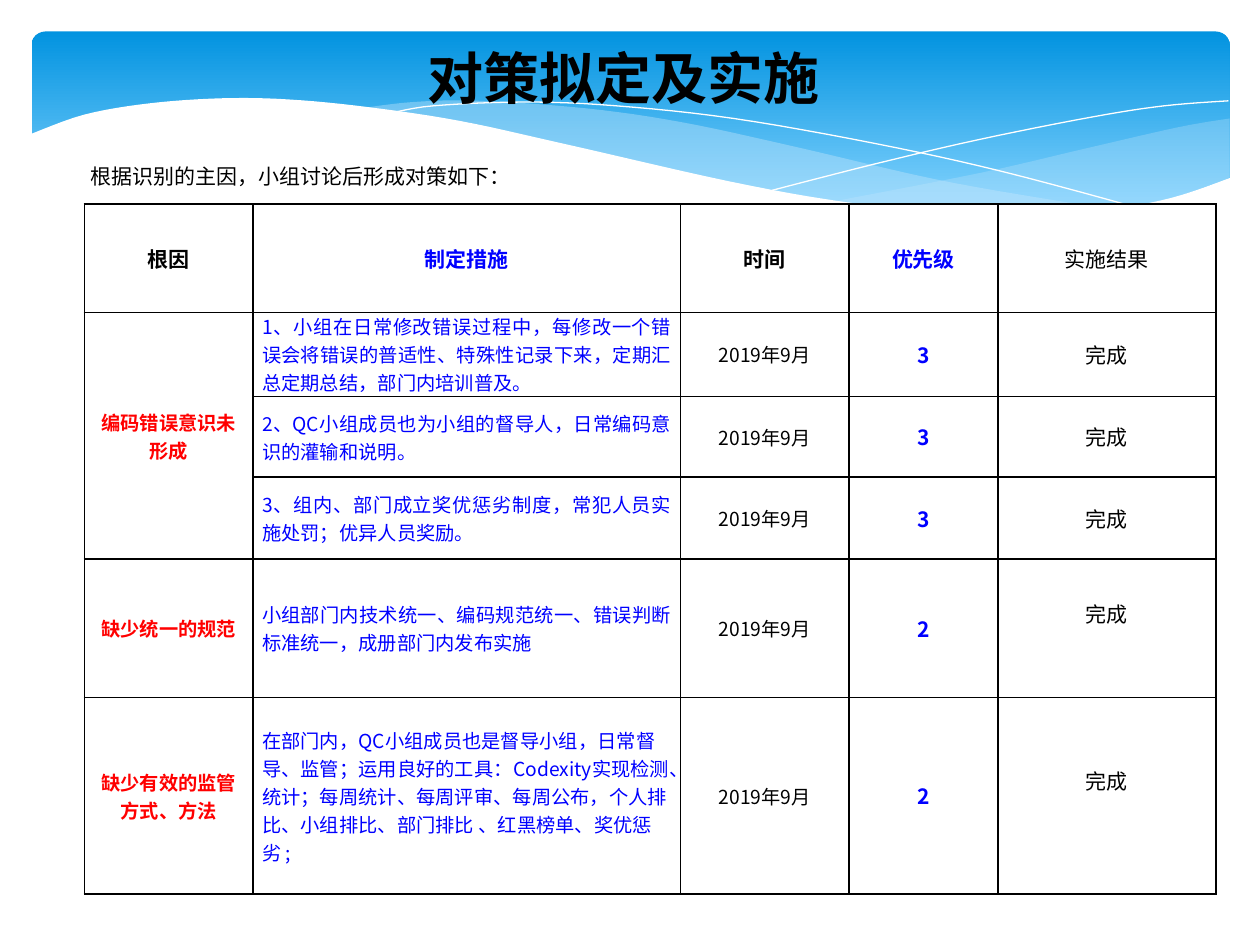
from dataclasses import dataclass
from typing import Optional

from lxml.etree import SubElement
from pptx import Presentation
from pptx.dml.color import RGBColor
from pptx.enum.shapes import MSO_SHAPE as Shape
from pptx.enum.text import MSO_ANCHOR as Anchor, MSO_AUTO_SIZE as AutoSize, PP_ALIGN as Align
from pptx.oxml.ns import qn
from pptx.util import Inches, Pt

Point = tuple[float, float]
Curve = list[Point]


@dataclass(frozen=True)
class Theme:
    font: str = "Noto Sans CJK SC"
    black: str = "000000"
    white: str = "FFFFFF"
    blue: str = "0000FF"
    red: str = "FF0000"
    sky_top: str = "0293E0"
    sky_bottom: str = "83D3FE"
    ribbon: str = "C6E7FC"
    title_size: float = 32
    label_size: float = 12
    body_size: float = 11


@dataclass(frozen=True)
class Wave:
    """An outline made of smooth curves; without a fill it is a hairline."""
    curves: list[Curve]
    fill: Optional[str] = None
    opacity: int = 100


@dataclass(frozen=True)
class Measure:
    cause: str
    action: str
    priority: str
    height: float
    align: Align = Align.JUSTIFY
    result_lift: float = 0


THEME = Theme()
DATE, RESULT = "2019年9月", "完成"
HEADERS = ["根因", "制定措施", "时间", "优先级", "实施结果"]
COLUMN_WIDTHS = [1.34, 3.39, 1.34, 1.18, 1.73]
HEADER_HEIGHT = 0.86
MEASURES = [
    Measure("编码错误意识未形成", "1、小组在日常修改错误过程中，每修改一个错误会将错误的普适性、"
            "特殊性记录下来，定期汇总定期总结，部门内培训普及。", "3", 0.55),
    Measure("", "2、QC小组成员也为小组的督导人，日常编码意识的灌输和说明。", "3", 0.64),
    Measure("", "3、组内、部门成立奖优惩劣制度，常犯人员实施处罚；优异人员奖励。", "3", 0.65),
    Measure("缺少统一的规范", "小组部门内技术统一、编码规范统一、错误判断标准统一，"
            "成册部门内发布实施", "2", 1.1, result_lift=0.24),
    Measure("缺少有效的监管方式、方法", "在部门内，QC小组成员也是督导小组，日常督导、监管；"
            "运用良好的工具：Codexity实现检测、统计；每周统计、每周评审、每周公布，个人排比、"
            "小组排比、部门排比 、红黑榜单、奖优惩劣 ;", "2", 1.56, Align.LEFT, 0.24),
]
WAVES = [
    Wave([[(9.76, 0.94), (9.35, 1.01), (8.61, 1.18), (7.79, 1.37), (6.61, 1.6)],
          [(6.61, 1.6), (7.19, 1.67), (7.81, 1.72), (8.35, 1.72), (8.81, 1.67),
           (9.28, 1.58), (9.76, 1.41)]], THEME.ribbon, 29),
    Wave([[(8.93, 1.67), (8.37, 1.59), (7.41, 1.42), (6.29, 1.16), (5.41, 0.97),
           (4.65, 0.86), (3.8, 0.8), (3.28, 0.81), (2.86, 0.86)],
          [(2.86, 0.86), (3.62, 0.97), (4.49, 1.16), (5.66, 1.43), (6.5, 1.58),
           (7.22, 1.68), (7.85, 1.72), (8.38, 1.72), (8.93, 1.67)]], THEME.ribbon, 40),
    Wave([[(3.09, 0.9), (3.44, 0.84), (4.16, 0.81), (4.89, 0.84), (5.82, 0.94),
           (6.95, 1.14), (7.95, 1.36), (9.07, 1.66)]]),
    Wave([[(6.13, 1.51), (6.95, 1.3), (7.76, 1.11), (8.66, 0.93), (9.24, 0.84),
           (9.75, 0.8)]]),
    Wave([[(9.77, 1.41), (9.3, 1.57), (8.75, 1.67), (8.09, 1.71), (7.44, 1.68),
           (6.68, 1.6), (5.79, 1.44), (4.47, 1.14), (3.65, 0.96), (2.92, 0.85),
           (2.3, 0.79), (1.77, 0.78), (1.19, 0.82), (0.67, 0.91), (0.23, 1.07)],
          [(0.23, 2.24), (9.77, 2.24)]], THEME.white),
]


def color(value: str) -> RGBColor:
    return RGBColor.from_string(value)


def smooth(curve: Curve, steps: int = 6) -> Curve:
    """Catmull-Rom interpolation through the points of a curve."""
    if len(curve) < 3:
        return curve
    padded = [curve[0], *curve, curve[-1]]
    result = [curve[0]]
    for a, b, c, d in zip(padded, padded[1:], padded[2:], padded[3:]):
        for t in (step / steps for step in range(1, steps + 1)):
            result.append(tuple(
                0.5 * (2 * q + (r - p) * t + (2 * p - 5 * q + 4 * r - s) * t ** 2
                       + (3 * q - p - 3 * r + s) * t ** 3)
                for p, q, r, s in zip(a, b, c, d)))
    return result


def draw_wave(page, wave: Wave) -> None:
    points = [(Inches(x), Inches(y)) for curve in wave.curves for x, y in smooth(curve)]
    builder = page.shapes.build_freeform(*points[0])
    builder.add_line_segments(points[1:], close=wave.fill is not None)
    shape = builder.convert_to_shape()
    shape.shadow.inherit = False
    if wave.fill is None:
        shape.fill.background()
        shape.line.color.rgb = color(THEME.white)
        shape.line.width = Pt(0)
        return
    shape.line.fill.background()
    shape.fill.solid()
    shape.fill.fore_color.rgb = color(wave.fill)
    if wave.opacity < 100:
        tint = shape.element.spPr.find(qn("a:solidFill")).find(qn("a:srgbClr"))
        SubElement(tint, qn("a:alpha"), val=str(wave.opacity * 1000))


def draw_banner(page) -> None:
    banner = page.shapes.add_shape(Shape.ROUNDED_RECTANGLE, Inches(0.25), Inches(0.25),
                                   Inches(9.51), Inches(1.56))
    banner.adjustments[0] = 0.071
    banner.shadow.inherit = False
    banner.line.fill.background()
    banner.fill.gradient()
    banner.fill.gradient_angle = 270
    stops = [(0, THEME.sky_top), (0.9, THEME.sky_bottom)]
    for stop, (position, value) in zip(banner.fill.gradient_stops, stops):
        stop.position = position
        stop.color.rgb = color(value)


def write(frame, text: str, *, size: float, ink: str = THEME.black, bold: bool = False,
          align: Align = Align.LEFT, indent: float = 0) -> None:
    para = frame.paragraphs[0]
    para.alignment = align
    if indent:
        para._p.get_or_add_pPr().set("indent", str(Inches(indent)))
    span = para.add_run()
    span.text = text
    span.font.size, span.font.bold, span.font.name = Pt(size), bold, THEME.font
    span.font.color.rgb = color(ink)
    SubElement(span.font._element, qn("a:ea"), typeface=THEME.font)


def format_cell(cell, *, fill: Optional[str] = None, lift: float = 0) -> None:
    cell.vertical_anchor = Anchor.MIDDLE
    cell.margin_left = cell.margin_right = Inches(0.07)
    cell.margin_top, cell.margin_bottom = 0, Inches(lift)
    properties = cell._tc.get_or_add_tcPr()
    for side in ("a:lnL", "a:lnR", "a:lnT", "a:lnB"):
        border = SubElement(properties, qn(side), w=str(Pt(1)))
        SubElement(SubElement(border, qn("a:solidFill")), qn("a:srgbClr"), val=THEME.black)
    if fill:
        cell.fill.solid()
        cell.fill.fore_color.rgb = color(fill)
    else:
        cell.fill.background()


def draw_table(page) -> None:
    heights = [HEADER_HEIGHT] + [measure.height for measure in MEASURES]
    table = page.shapes.add_table(len(heights), len(HEADERS), Inches(0.67), Inches(1.62),
                                  Inches(sum(COLUMN_WIDTHS)), Inches(sum(heights))).table
    table.first_row = table.horz_banding = False
    for column, width in zip(table.columns, COLUMN_WIDTHS):
        column.width = Inches(width)
    for row, height in zip(table.rows, heights):
        row.height = Inches(height)

    # Header row
    for index, header in enumerate(HEADERS):
        cell = table.cell(0, index)
        format_cell(cell, fill=THEME.white)
        write(cell.text_frame, header, size=THEME.label_size, align=Align.CENTER,
              ink=THEME.blue if index in (1, 3) else THEME.black,
              bold=header != HEADERS[-1])

    # One row for each measure
    body, label = THEME.body_size, THEME.label_size
    for number, measure in enumerate(MEASURES, start=1):
        entries = [
            (measure.cause, dict(size=body, ink=THEME.red, bold=True, align=Align.CENTER)),
            (measure.action, dict(size=body, ink=THEME.blue, align=measure.align)),
            (DATE, dict(size=body, align=Align.CENTER)),
            (measure.priority, dict(size=label, ink=THEME.blue, bold=True, align=Align.CENTER)),
            (RESULT, dict(size=label, align=Align.CENTER)),
        ]
        for index, (text, style) in enumerate(entries):
            cell = table.cell(number, index)
            format_cell(cell, lift=measure.result_lift if text == RESULT else 0)
            if text:
                write(cell.text_frame, text, **style)
    table.cell(1, 0).merge(table.cell(3, 0))


def main() -> None:
    deck = Presentation()
    deck.slide_width, deck.slide_height = Inches(10), Inches(7.5)
    page = deck.slides.add_slide(deck.slide_layouts[5])

    # Background banner and waves
    draw_banner(page)
    for wave in WAVES:
        draw_wave(page, wave)

    draw_table(page)

    # Introduction
    box = page.shapes.add_textbox(Inches(0.47), Inches(1.25), Inches(3.72), Inches(0.3))
    box.text_frame.word_wrap = False
    box.text_frame.vertical_anchor = Anchor.MIDDLE
    write(box.text_frame, "根据识别的主因，小组讨论后形成对策如下：", size=THEME.label_size, indent=0.15)

    # Title, brought in front of the banner
    title = page.shapes.title
    title.left, title.top = Inches(1.33), Inches(0.29)
    title.width, title.height = Inches(7.24), Inches(0.64)
    title.text_frame.auto_size = AutoSize.NONE
    title.text_frame.vertical_anchor = Anchor.MIDDLE
    write(title.text_frame, "对策拟定及实施", size=THEME.title_size, bold=True, align=Align.CENTER)
    title.element.getparent().append(title.element)

    deck.save("out.pptx")


if __name__ == "__main__":
    main()
